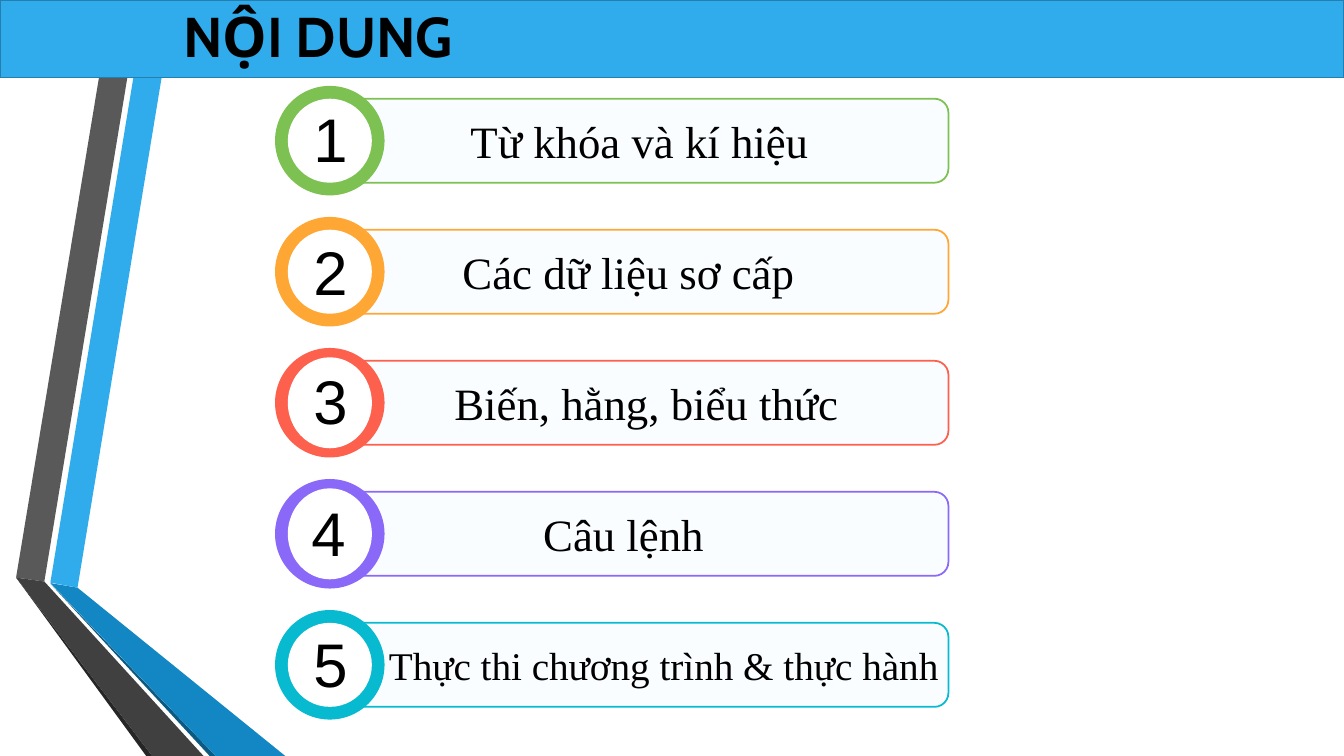
from dataclasses import dataclass

from pptx import Presentation
from pptx.dml.color import RGBColor
from pptx.enum.shapes import MSO_SHAPE as Preset
from pptx.enum.text import MSO_ANCHOR as Anchor, MSO_AUTO_SIZE as AutoSize, PP_ALIGN as Align
from pptx.shapes.base import BaseShape
from pptx.shapes.group import GroupShape
from pptx.text.text import TextFrame
from pptx.util import Pt


@dataclass(frozen=True)
class Theme:
    """Colours, fonts and sizes of the slide."""
    ink: str = "000000"
    white: str = "FFFFFF"
    sky: str = "30ACEC"
    sky_edge: str = "247FAF"
    bar: str = "F9FDFF"
    title_font: str = "Cabin"
    label_font: str = "Times New Roman"
    digit_font: str = "Arial"
    title_size: float = 40
    label_size: float = 32
    small_label_size: float = 28
    digit_size: float = 44
    line_width: float = 1.25


@dataclass(frozen=True)
class Box:
    """A rectangle in points."""
    left: float
    top: float
    width: float
    height: float


@dataclass(frozen=True)
class Ribbon:
    """One filled polygon of the folded ribbons."""
    color: str
    points: tuple[tuple[float, float], ...]


@dataclass(frozen=True)
class Topic:
    """One numbered row; stretch makes the hole of its ring taller."""
    label: str
    color: str
    label_left: float
    label_width: float = 336.2
    label_size: float = Theme.label_size
    digit_left: float = 216.7
    digit_shift: float = 0
    stretch: float = 0


THEME = Theme()
SLIDE_WIDTH, SLIDE_HEIGHT = 960, 540
FIRST_CENTER, ROW_PITCH = 100.5, 93.6
RING_CENTER, RING_SIZE, HOLE_SIZE = 235.6, 77, 60
BAR_LEFT, BAR_WIDTH, BAR_HEIGHT = 247.7, 429.8, 60
DIGIT_WIDTH, DIGIT_HEIGHT = 32.4, 60.5

RIBBONS = (
    Ribbon(THEME.sky, ((36, 416.2), (55.4, 419.8), (124.6, 0), (104.4, 0))),
    Ribbon("595959", ((100.1, 0), (79.9, 0), (11.5, 412.6), (31.7, 415.4))),
    Ribbon("262626", ((11.5, 412.6), (104.4, 540), (108.7, 540))),
    Ribbon("0C5A82", ((36, 416.9), (149.8, 540), (154.1, 540))),
    Ribbon("1287C3", ((36, 416.5), (154.1, 540), (203.8, 540), (55.4, 419.8))),
    Ribbon("404040", ((145.4, 540), (31.7, 415.4), (11.5, 412.6), (108.7, 540))),
)

TOPICS = (
    Topic("Từ khóa và kí hiệu", "7DC152", 329),
    Topic("Các dữ liệu sơ cấp", "FFA735", 323.3, digit_shift=1.4),
    Topic("Biến, hằng, biểu thức", "FE604E", 317.5, stretch=2.5),
    Topic("Câu lệnh", "8A69F9", 380.9, 136.1, digit_left=215.3, digit_shift=0.7, stretch=2.5),
    Topic("Thực thi chương trình & thực hành", "08BACF", 270.7, 469.4,
          THEME.small_label_size, digit_shift=0.7),
)


def place(shape: BaseShape, box: Box) -> None:
    """Move and size a shape."""
    shape.left, shape.top = Pt(box.left), Pt(box.top)
    shape.width, shape.height = Pt(box.width), Pt(box.height)


def paint(shape: BaseShape, fill: str, line: str | None = None) -> None:
    """Give a shape a flat fill and an optional outline."""
    shape.shadow.inherit = False
    shape.fill.solid()
    shape.fill.fore_color.rgb = RGBColor.from_string(fill)
    if line is None:
        shape.line.fill.background()
    else:
        shape.line.color.rgb = RGBColor.from_string(line)
        shape.line.width = Pt(THEME.line_width)


def draw_preset(shapes, preset: Preset, box: Box, fill: str, line: str | None = None) -> None:
    """Add a painted preset shape."""
    shape = shapes.add_shape(preset, 0, 0, 0, 0)
    place(shape, box)
    paint(shape, fill, line)


def draw_ribbon(group: GroupShape, ribbon: Ribbon) -> None:
    """Add one ribbon polygon."""
    start, *others = [(Pt(x), Pt(y)) for x, y in ribbon.points]
    builder = group.shapes.build_freeform(*start)
    builder.add_line_segments(others, close=True)
    paint(builder.convert_to_shape(), ribbon.color)


def write(frame: TextFrame, text: str, font: str, size: float, bold: bool = False) -> None:
    """Write one left-aligned run into a text frame."""
    frame.word_wrap = True
    frame.auto_size = AutoSize.NONE
    frame.vertical_anchor = Anchor.TOP
    para = frame.paragraphs[0]
    para.alignment = Align.LEFT
    span = para.add_run()
    span.text = text
    span.font.name, span.font.size, span.font.bold = font, Pt(size), bold
    span.font.color.rgb = RGBColor.from_string(THEME.ink)


def draw_text(group: GroupShape, box: Box, text: str, font: str, size: float) -> None:
    """Add a text box."""
    text_box = group.shapes.add_textbox(0, 0, 0, 0)
    place(text_box, box)
    write(text_box.text_frame, text, font, size)


def centered(x: float, y: float, width: float, height: float) -> Box:
    """Return a box around a centre point."""
    return Box(x - width / 2, y - height / 2, width, height)


def draw_topic(group: GroupShape, number: int, topic: Topic) -> None:
    """Add the bar, ring, label and digit of one topic."""
    middle = FIRST_CENTER + (number - 1) * ROW_PITCH
    bar = Box(BAR_LEFT, middle - BAR_HEIGHT / 2, BAR_WIDTH, BAR_HEIGHT)
    ring = centered(RING_CENTER, middle, RING_SIZE, RING_SIZE)
    hole = centered(RING_CENTER, middle, HOLE_SIZE, HOLE_SIZE + 2 * topic.stretch)
    draw_preset(group.shapes, Preset.ROUNDED_RECTANGLE, bar, THEME.bar, topic.color)
    draw_preset(group.shapes, Preset.OVAL, ring, topic.color, topic.color)
    draw_preset(group.shapes, Preset.OVAL, hole, THEME.white)

    label_height = 1.44 * topic.label_size
    label = Box(topic.label_left, middle - label_height / 2, topic.label_width, label_height)
    draw_text(group, label, topic.label, THEME.label_font, topic.label_size)
    digit = Box(topic.digit_left, middle - 32.1 + topic.digit_shift, DIGIT_WIDTH, DIGIT_HEIGHT)
    draw_text(group, digit, str(number), THEME.digit_font, THEME.digit_size)


def main() -> None:
    """Build and save the deck."""
    deck = Presentation()
    deck.slide_width, deck.slide_height = Pt(SLIDE_WIDTH), Pt(SLIDE_HEIGHT)
    page = deck.slides.add_slide(deck.slide_layouts.get_by_name("Title Only"))

    ribbons = page.shapes.add_group_shape()
    for ribbon in RIBBONS:
        draw_ribbon(ribbons, ribbon)

    band = Box(0, 0, SLIDE_WIDTH, 55.4)
    draw_preset(page.shapes, Preset.RECTANGLE, band, THEME.sky, THEME.sky_edge)
    title = page.shapes.title
    place(title, Box(123.8, -2.2, 557.3, 55.4))
    write(title.text_frame, "NỘI DUNG", THEME.title_font, THEME.title_size, bold=True)
    title.element.getparent().append(title.element)  # bring in front of the band

    topics = page.shapes.add_group_shape()
    for number, topic in enumerate(TOPICS, start=1):
        draw_topic(topics, number, topic)

    deck.save("out.pptx")


main()
